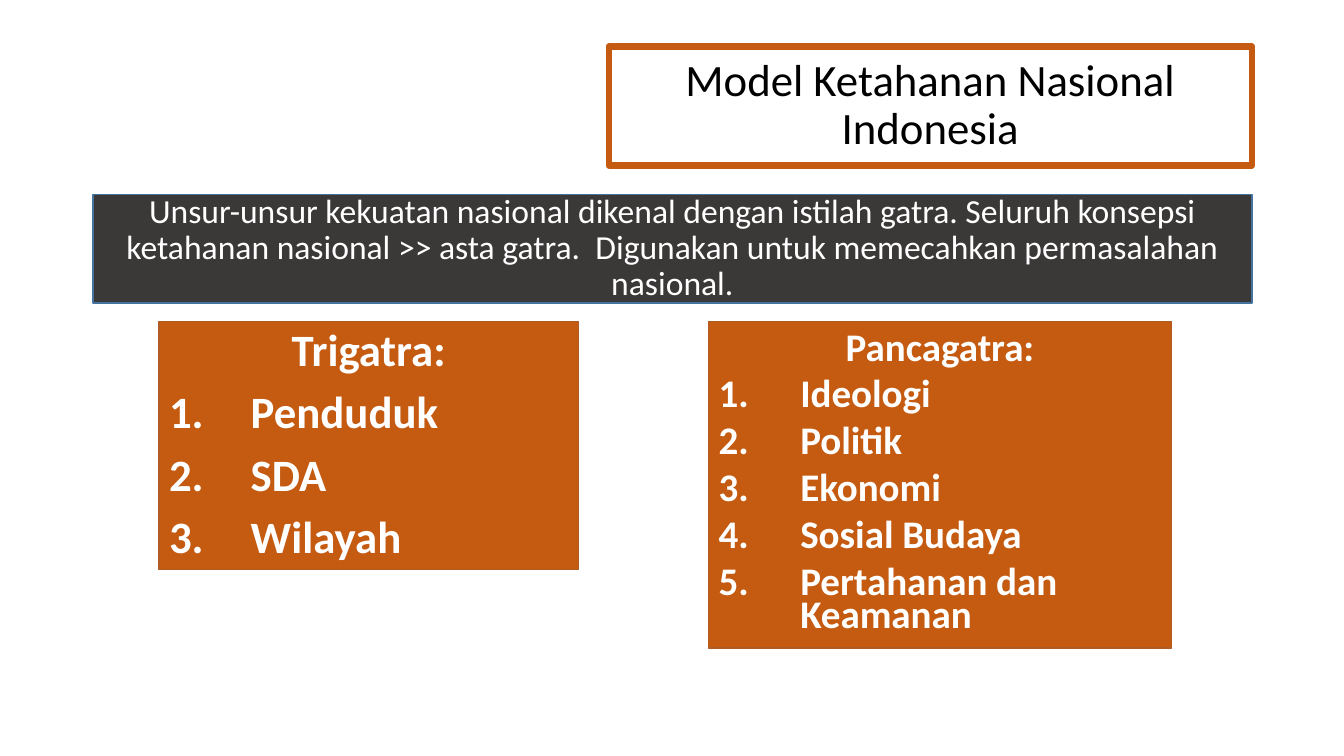
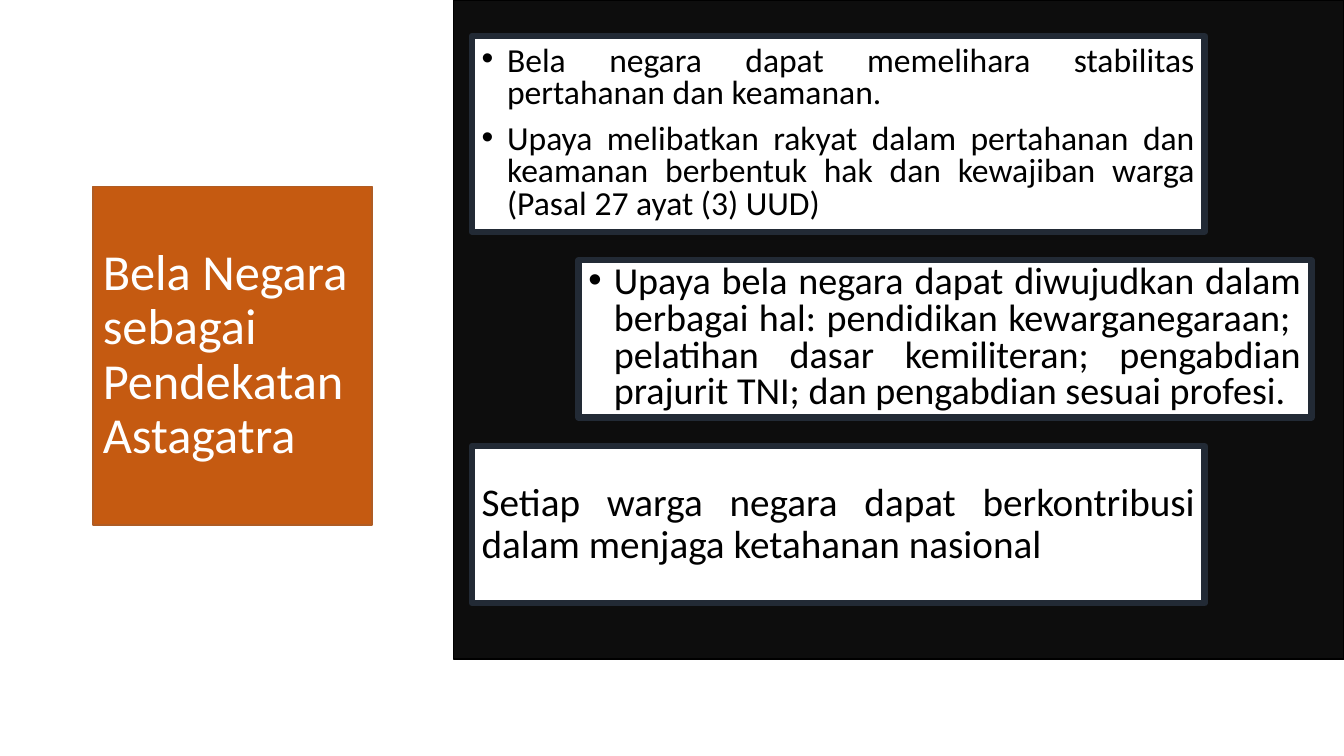
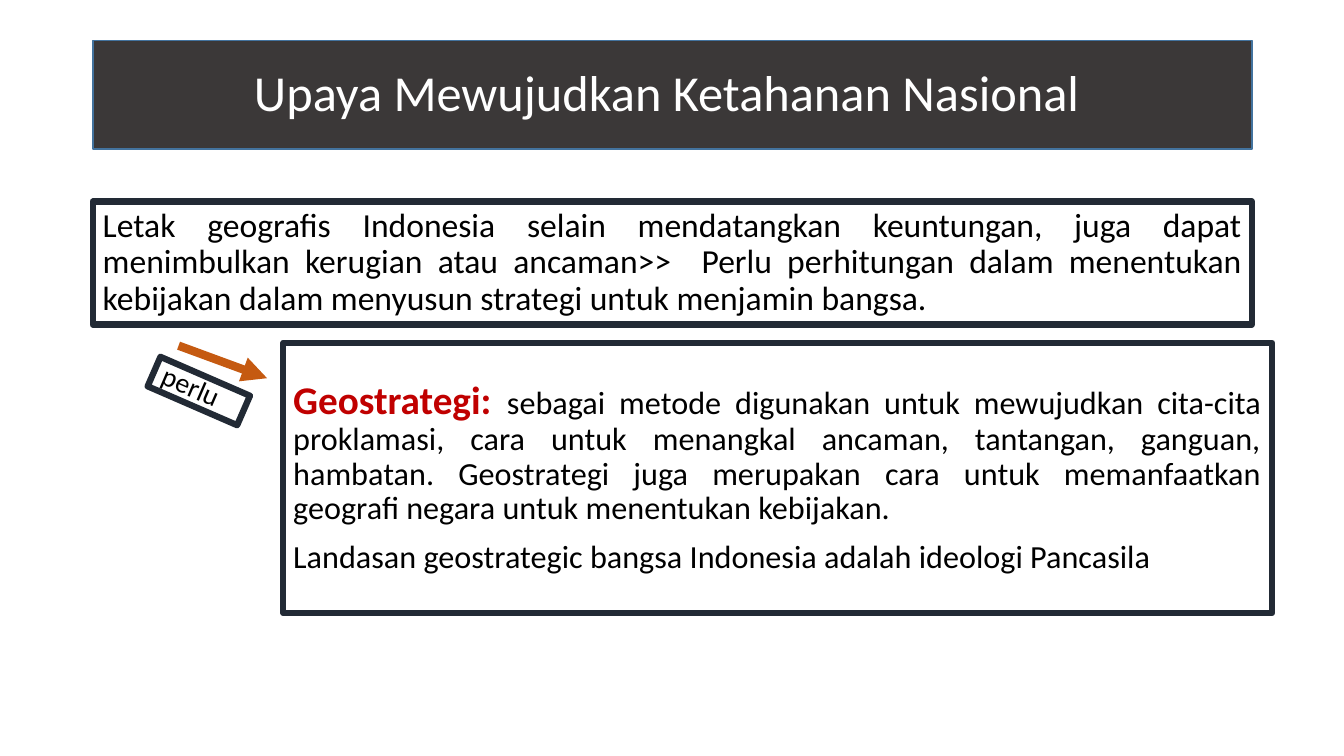
from lxml.etree import SubElement
from pptx import Presentation
from pptx.dml.color import RGBColor
from pptx.enum.shapes import MSO_CONNECTOR as Connector, MSO_SHAPE as Preset
from pptx.enum.text import MSO_ANCHOR as Anchor, MSO_AUTO_SIZE as AutoSize, PP_ALIGN as Align
from pptx.oxml.ns import qn
from pptx.util import Cm, Pt

FONT = "Calibri"
ORANGE, BLACK, WHITE, RED, NAVY = "C55A11", "000000", "FFFFFF", "C00000", "222A35"
SLIDE_WIDTH, SLIDE_HEIGHT = 33.87, 19.05
MARGIN, BANNER_WIDTH, BANNER_HEIGHT = 2.34, 29.21, 2.74

STYLES = {
    "outlined": {"fill": WHITE, "line": ORANGE, "width": 4.5, "color": BLACK},
    "banner": {"fill": "3B3838", "line": "43739E", "width": 1, "color": WHITE},
    "block": {"fill": ORANGE, "line": "AF5C24", "width": 1, "color": WHITE},
    "card": {"fill": WHITE, "line": NAVY, "width": 4.5, "color": BLACK},
    "panel": {"fill": "0D0D0D", "line": BLACK, "width": 1, "color": WHITE},
}
LISTS = {
    "number": {"indent": 2.06, "tag": "a:buAutoNum", "values": {"type": "arabicPeriod"}},
    "bullet": {"indent": 0.64, "tag": "a:buChar", "values": {"char": "•"}},
}

MODEL_TITLE = "Model Ketahanan Nasional Indonesia"
MODEL_SUMMARY = (
    "Unsur-unsur kekuatan nasional dikenal dengan istilah gatra. Seluruh konsepsi "
    "ketahanan nasional >> asta gatra.  Digunakan untuk memecahkan permasalahan nasional."
)
GATRA_TOP = 8.1
GATRA_GROUPS = [
    {"heading": "Trigatra:", "items": ["Penduduk", "SDA", "Wilayah"],
     "left": 4.01, "width": 10.57, "height": 6.25, "size": 32, "spacing": 0.9},
    {"heading": "Pancagatra:",
     "items": ["Ideologi", "Politik", "Ekonomi", "Sosial Budaya", "Pertahanan dan Keamanan"],
     "left": 17.86, "width": 11.66, "height": 8.23, "size": 27.9, "spacing": 0.7},
]

DEFENCE_TITLE = "Bela Negara sebagai Pendekatan Astagatra"
CARD_TOP, CARD_GAP, CARD_WIDTH = 0.91, 0.72, 18.47
DEFENCE_CARDS = [
    {"left": 11.89, "height": 4.93, "size": 24, "spacing": 0.8, "marker": "bullet", "texts": [
        "Bela negara dapat memelihara stabilitas pertahanan dan keamanan.",
        "Upaya melibatkan rakyat dalam pertahanan dan keamanan berbentuk hak dan "
        "kewajiban warga (Pasal 27 ayat (3) UUD)"]},
    {"left": 14.58, "height": 3.96, "size": 27.2, "spacing": 0.8, "marker": "bullet", "texts": [
        "Upaya bela negara dapat diwujudkan dalam berbagai hal: pendidikan "
        "kewarganegaraan;  pelatihan dasar kemiliteran; pengabdian prajurit TNI; "
        "dan pengabdian sesuai profesi."]},
    {"left": 11.89, "height": 3.96, "size": 28, "spacing": 0.9, "marker": None, "texts": [
        "Setiap warga negara dapat berkontribusi dalam menjaga ketahanan nasional"]},
]

EFFORT_TITLE = "Upaya Mewujudkan Ketahanan Nasional "
EFFORT_CONTEXT = (
    "Letak geografis Indonesia selain mendatangkan keuntungan, juga dapat menimbulkan "
    "kerugian atau ancaman>>  Perlu perhitungan dalam menentukan kebijakan dalam "
    "menyusun strategi untuk menjamin bangsa."
)
GEOSTRATEGY_TERM = "Geostrategi: "
GEOSTRATEGY_MEANING = (
    "sebagai metode digunakan untuk mewujudkan cita-cita proklamasi, cara untuk "
    "menangkal ancaman, tantangan, ganguan, hambatan. Geostrategi juga merupakan cara "
    "untuk memanfaatkan geografi negara untuk menentukan kebijakan."
)
GEOSTRATEGY_BASIS = "Landasan geostrategic bangsa Indonesia adalah ideologi Pancasila"
NEED_LABEL = "perlu"


def color(value):
    return RGBColor.from_string(value)


def set_all(target, values):
    for name, value in values.items():
        setattr(target, name, value)


def run(text, **changes):
    return {"text": text, **changes}


def paragraph_of(*runs, align=Align.JUSTIFY, marker=None):
    return {"runs": runs, "align": align, "marker": marker}


def add_marker(paragraph, marker):
    rule = LISTS[marker]
    properties = paragraph._p.get_or_add_pPr()
    indent = Cm(rule["indent"])
    properties.set("marL", str(indent))
    properties.set("indent", str(-indent))
    if marker == "bullet":
        SubElement(properties, qn("a:buFont"), typeface="Arial")
    SubElement(properties, qn(rule["tag"]), **rule["values"])


def write(shape, paragraphs, text_color, size, spacing, bold):
    frame = shape.text_frame
    set_all(frame, {"word_wrap": True, "auto_size": AutoSize.NONE,
                    "vertical_anchor": Anchor.MIDDLE,
                    "margin_left": Cm(0.25), "margin_right": Cm(0.25),
                    "margin_top": Cm(0.13), "margin_bottom": Cm(0.13)})
    for index, content in enumerate(paragraphs):
        paragraph = frame.add_paragraph() if index else frame.paragraphs[0]
        set_all(paragraph, {"alignment": content["align"], "line_spacing": spacing,
                            "space_before": Pt(10), "space_after": Pt(0)})
        if content["marker"]:
            add_marker(paragraph, content["marker"])
        for part in content["runs"]:
            text_run = paragraph.add_run()
            text_run.text = part["text"]
            set_all(text_run.font, {"name": FONT, "size": Pt(part.get("size", size)),
                                    "bold": part.get("bold", bold)})
            text_run.font.color.rgb = color(part.get("color", text_color))


def format_box(shape, box, style, paragraphs=(), size=24, spacing=0.9, bold=False):
    look = STYLES[style]
    set_all(shape, dict(zip(("left", "top", "width", "height"), map(Cm, box))))
    shape.fill.solid()
    shape.fill.fore_color.rgb = color(look["fill"])
    shape.line.color.rgb = color(look["line"])
    shape.line.width = Pt(look["width"])
    write(shape, paragraphs, look["color"], size, spacing, bold)


def add_box(slide, box, style, paragraphs=(), **options):
    shape = slide.shapes.add_shape(Preset.RECTANGLE, *map(Cm, box))
    shape.shadow.inherit = False
    format_box(shape, box, style, paragraphs, **options)
    return shape


def add_slide(presentation, title, box, style, size, align=Align.CENTER):
    slide = presentation.slides.add_slide(presentation.slide_layouts[5])
    format_box(slide.shapes.title, box, style, [paragraph_of(run(title), align=align)], size=size)
    return slide


def add_arrow(slide, start, end, line_color, width):
    arrow = slide.shapes.add_connector(Connector.STRAIGHT, *map(Cm, start + end))
    arrow.line.color.rgb = color(line_color)
    arrow.line.width = Pt(width)
    SubElement(arrow.line._get_or_add_ln(), qn("a:tailEnd"), type="triangle")
    SubElement(arrow._element.spPr, qn("a:effectLst"))


def build_model(presentation):
    slide = add_slide(presentation, MODEL_TITLE, (15.34, 1.17, 16.21, 3), "outlined", 32)
    add_box(slide, (MARGIN, 4.9, BANNER_WIDTH, BANNER_HEIGHT), "banner",
            [paragraph_of(run(MODEL_SUMMARY), align=Align.CENTER)])
    for group in GATRA_GROUPS:
        heading = paragraph_of(run(group["heading"]), align=Align.CENTER)
        items = [paragraph_of(run(item), align=Align.LEFT, marker="number")
                 for item in group["items"]]
        add_box(slide, (group["left"], GATRA_TOP, group["width"], group["height"]), "block",
                [heading] + items, size=group["size"], spacing=group["spacing"], bold=True)


def build_defence(presentation):
    slide = add_slide(presentation, DEFENCE_TITLE, (MARGIN, 4.7, 7.04, 8.53), "block", 36,
                      Align.LEFT)
    panel_left = 11.43
    add_box(slide, (panel_left, 0, SLIDE_WIDTH - panel_left, 16.61), "panel")
    top = CARD_TOP
    for card in DEFENCE_CARDS:
        paragraphs = [paragraph_of(run(text), marker=card["marker"]) for text in card["texts"]]
        add_box(slide, (card["left"], top, CARD_WIDTH, card["height"]), "card", paragraphs,
                size=card["size"], spacing=card["spacing"])
        top += card["height"] + CARD_GAP


def build_effort(presentation):
    slide = add_slide(presentation, EFFORT_TITLE,
                      (MARGIN, 1.02, BANNER_WIDTH, BANNER_HEIGHT), "banner", 36)
    add_box(slide, (MARGIN, 5.08, BANNER_WIDTH, 3.1), "card", [paragraph_of(run(EFFORT_CONTEXT))])
    add_arrow(slide, (4.5, 8.71), (6.73, 9.53), ORANGE, 6)
    term = run(GEOSTRATEGY_TERM, size=28, color=RED, bold=True)
    add_box(slide, (7.14, 8.64, 24.92, 6.81), "card",
            [paragraph_of(term, run(GEOSTRATEGY_MEANING)), paragraph_of(run(GEOSTRATEGY_BASIS))],
            size=23)
    label = add_box(slide, (3.78, 9.45, 2.46, 0.81), "card", [paragraph_of(run(NEED_LABEL))],
                    size=20)
    label.rotation = 23.5


def main():
    presentation = Presentation()
    set_all(presentation, {"slide_width": Cm(SLIDE_WIDTH), "slide_height": Cm(SLIDE_HEIGHT)})
    for build in (build_model, build_defence, build_effort):
        build(presentation)
    presentation.save("out.pptx")


if __name__ == "__main__":
    main()
